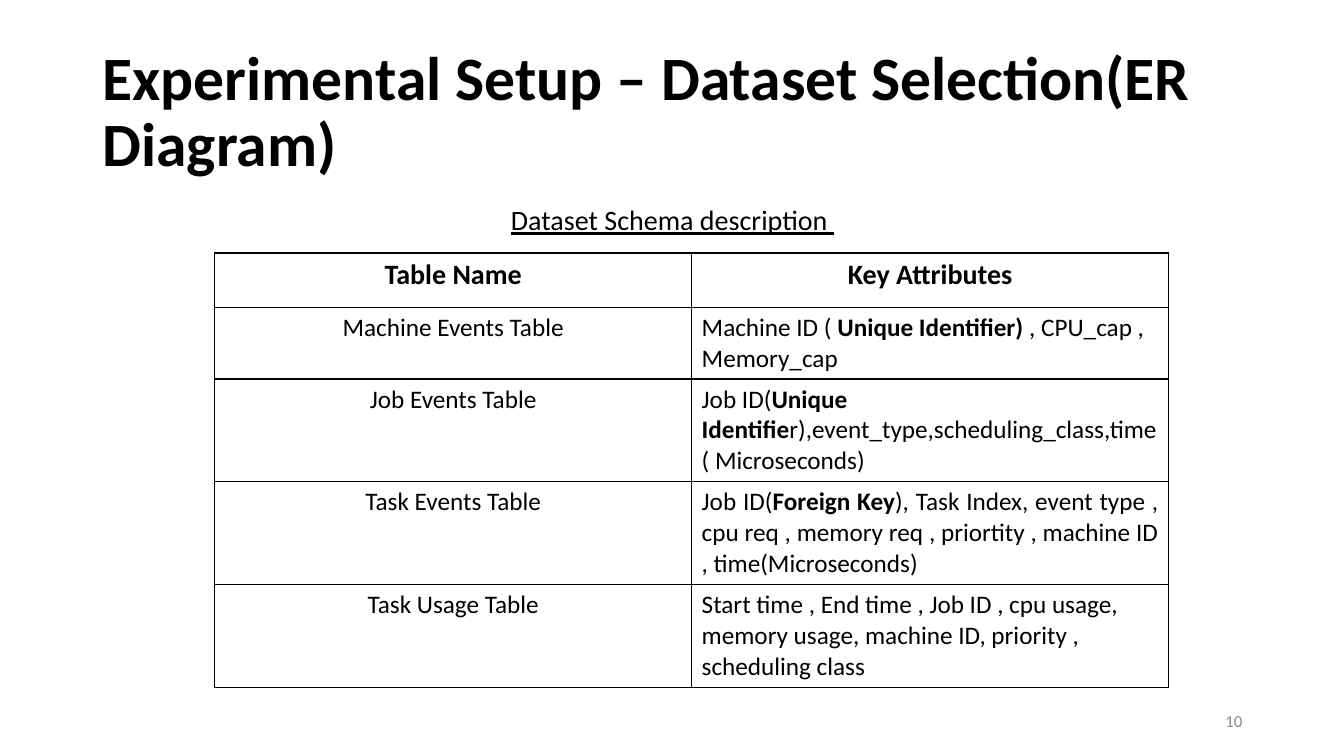
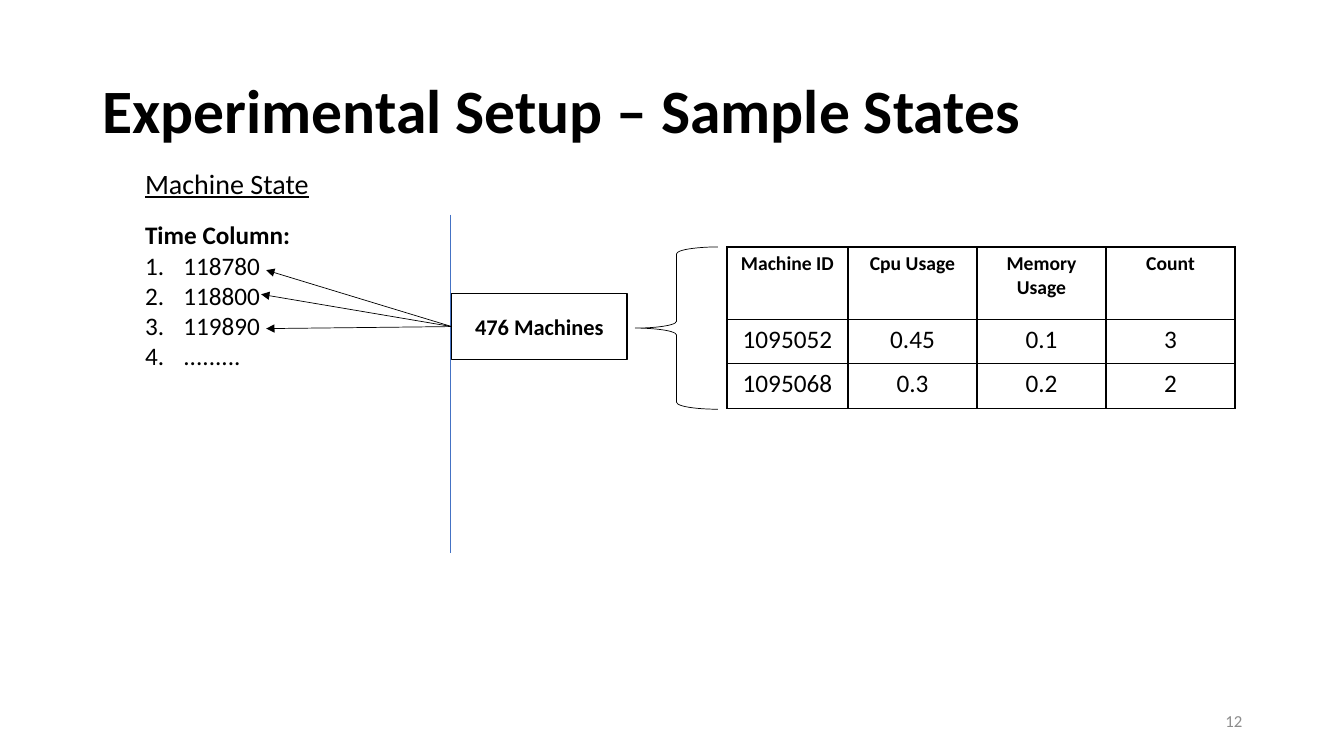
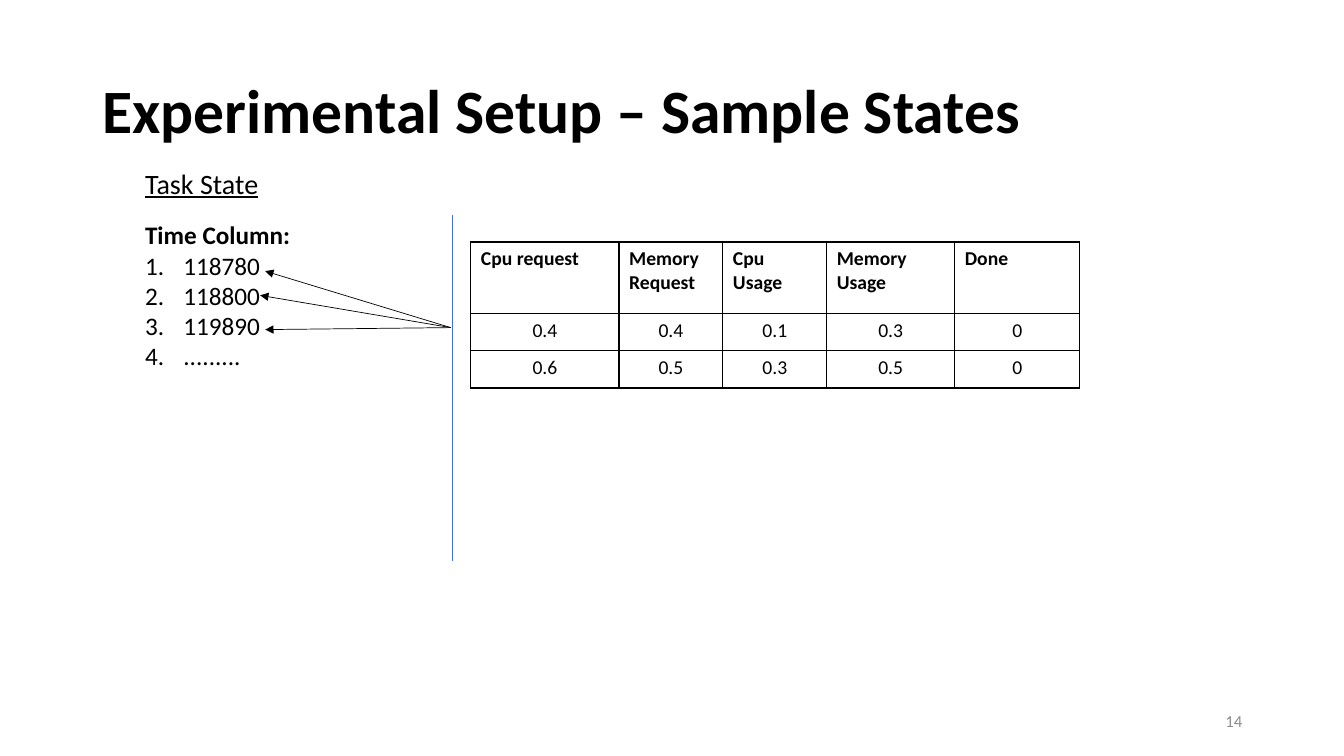
from lxml.etree import SubElement
from pptx import Presentation
from pptx.dml.color import RGBColor
from pptx.enum.shapes import MSO_CONNECTOR, MSO_SHAPE
from pptx.enum.text import MSO_ANCHOR, PP_ALIGN
from pptx.oxml import parse_xml
from pptx.oxml.ns import nsdecls, qn
from pptx.util import Inches, Pt

BLACK = RGBColor(0, 0, 0)
GRAY = RGBColor(0x8C, 0x8C, 0x8C)
BLUE = RGBColor(0x44, 0x72, 0xC4)
FONT = "Calibri"
LEFT, CENTER, RIGHT, JUSTIFY = PP_ALIGN.LEFT, PP_ALIGN.CENTER, PP_ALIGN.RIGHT, PP_ALIGN.JUSTIFY

TIMES = ["118780", "118800", "119890", "........."]
ARROW_OFFSETS = [(-1.84, -0.56), (-1.89, -0.32), (-1.84, 0.02)]


class Deck:
    def __init__(self):
        self.presentation = Presentation()
        self.presentation.slide_width = Inches(13.33)
        self.presentation.slide_height = Inches(7.5)
        self.slide = None

    def add_slide(self, title, number):
        self.slide = self.presentation.slides.add_slide(self.presentation.slide_layouts[6])
        heading = self.text(0.92, 0.4, 11.5, 1.45, title, 44, bold=True, anchor=MSO_ANCHOR.MIDDLE)
        heading.paragraphs[0].line_spacing = 0.9
        self.text(9.42, 6.95, 3, 0.4, str(number), 12, color=GRAY, align=RIGHT,
                  anchor=MSO_ANCHOR.MIDDLE)

    def style(self, paragraph, size, bold=False, color=BLACK, align=LEFT, underline=None):
        paragraph.alignment = align
        for run in paragraph.runs:
            font = run.font
            font.name, font.size, font.bold, font.underline = FONT, Pt(size), bold, underline
            font.color.rgb = color

    def text(self, left, top, width, height, text, size, anchor=MSO_ANCHOR.TOP, **style):
        box = self.slide.shapes.add_textbox(Inches(left), Inches(top), Inches(width), Inches(height))
        text_frame = box.text_frame
        text_frame.word_wrap = True
        text_frame.vertical_anchor = anchor
        text_frame.text = text
        for paragraph in text_frame.paragraphs:
            self.style(paragraph, size, **style)
        return text_frame

    def numbered_list(self, left, top, width, height, heading, items):
        text_frame = self.text(left, top, width, height, "\n".join([heading, *items]), 18)
        self.style(text_frame.paragraphs[0], 18, bold=True)
        for paragraph in text_frame.paragraphs[1:]:
            properties = paragraph._p.get_or_add_pPr()
            properties.set("marL", str(Inches(0.38)))
            properties.set("indent", str(-Inches(0.38)))
            SubElement(properties, qn("a:buFont"), typeface="+mj-lt")
            SubElement(properties, qn("a:buAutoNum"), type="arabicPeriod")

    def shape(self, preset, left, top, width, height, line_width, text=""):
        shape = self.slide.shapes.add_shape(preset, Inches(left), Inches(top),
                                            Inches(width), Inches(height))
        shape.shadow.inherit = False
        shape.fill.background()
        shape.line.color.rgb = BLACK
        shape.line.width = Pt(line_width)
        if text:
            shape.text_frame.text = text
            shape.text_frame.vertical_anchor = MSO_ANCHOR.MIDDLE
            self.style(shape.text_frame.paragraphs[0], 16, bold=True, align=CENTER)
        return shape

    def line(self, start, end, color=BLACK, arrow=False):
        connector = self.slide.shapes.add_connector(
            MSO_CONNECTOR.STRAIGHT, *(Inches(value) for value in (*start, *end)))
        connector.line.color.rgb = color
        connector.line.width = Pt(0.5)
        if arrow:
            SubElement(connector.line._get_or_add_ln(), qn("a:tailEnd"), type="triangle")
        SubElement(connector._element.spPr, qn("a:effectLst"))
        return connector

    def table(self, left, top, columns, heights, rows, header_size, body_size,
              header_align=CENTER, body_aligns=None):
        frame = self.slide.shapes.add_table(
            len(heights), len(columns), Inches(left), Inches(top),
            Inches(sum(columns)), Inches(sum(heights)))
        table = frame.table
        table.first_row = table.horz_banding = False
        for column, width in zip(table.columns, columns):
            column.width = Inches(width)
        for row_index, (row, height, values) in enumerate(zip(table.rows, heights, rows)):
            row.height = Inches(height)
            for column_index, (cell, value) in enumerate(zip(row.cells, values)):
                if row_index == 0:
                    self.cell(cell, value, header_size, header_align, True)
                else:
                    align = body_aligns[row_index - 1][column_index] if body_aligns else CENTER
                    self.cell(cell, value, body_size, align, False)

    def cell(self, cell, value, size, align, bold):
        paragraph = cell.text_frame.paragraphs[0]
        parts = value.split("**")
        for part in parts:
            paragraph.add_run().text = part
        self.style(paragraph, size, bold=bold, align=align)
        for run in paragraph.runs[1::2]:
            run.font.bold = True
        cell.fill.background()
        properties = cell._tc.get_or_add_tcPr()
        for position, side in enumerate(("lnL", "lnR", "lnT", "lnB")):
            properties.insert(position, parse_xml(
                f'<a:{side} {nsdecls("a")} w="{Pt(1)}"><a:solidFill>'
                f'<a:srgbClr val="{BLACK}"/></a:solidFill></a:{side}>'))

    def time_state(self, name, name_width, divider_x, divider_bottom, origin, source=None):
        self.text(1.34, 1.6, name_width, 0.44, name, 20, underline=True)
        self.numbered_list(1.34, 2.13, 1.78, 1.62, "Time Column:", TIMES)
        self.line((divider_x, 2.13), (divider_x, divider_bottom), BLUE)
        for offset_x, offset_y in ARROW_OFFSETS:
            arrow = self.line(origin, (origin[0] + offset_x, origin[1] + offset_y), arrow=True)
            if source is not None:
                arrow.begin_connect(source, 1)


def dataset_slide(deck):
    deck.add_slide("Experimental Setup – Dataset Selection(ER Diagram)", 10)
    caption = deck.text(0.92, 2, 11.5, 0.45, "Dataset Schema description ", 20,
                        align=CENTER, underline=True)
    caption.paragraphs[0].line_spacing = 0.9
    rows = [
        ("Table Name", "Key Attributes"),
        ("Machine Events Table",
         "Machine ID ( **Unique Identifier) **, CPU_cap , Memory_cap"),
        ("Job Events Table",
         "Job ID(**Unique Identifie**r),event_type,scheduling_class,time( Microseconds)"),
        ("Task Events Table",
         "Job ID(**Foreign Key**), Task Index, event type , cpu req , memory req , "
         "priortity , machine ID , time(Microseconds)"),
        ("Task Usage Table",
         "Start time , End time , Job ID , cpu usage, memory usage, machine ID, "
         "priority , scheduling class"),
    ]
    aligns = [(CENTER, LEFT), (CENTER, LEFT), (CENTER, JUSTIFY), (CENTER, LEFT)]
    deck.table(2.13, 2.51, [4.73] * 2, [0.54, 0.71, 1.02, 1.02, 1.02], rows, 20, 18,
               body_aligns=aligns)


def machine_slide(deck):
    deck.add_slide("Experimental Setup – Sample States", 12)
    machines = deck.shape(MSO_SHAPE.RECTANGLE, 4.48, 2.91, 1.74, 0.66, 1, "476 Machines")
    deck.shape(MSO_SHAPE.LEFT_BRACE, 6.3, 2.45, 0.82, 1.61, 0.5)
    deck.time_state("Machine State", 7.34, 4.47, 5.49, (4.48, 3.24), machines)
    rows = [
        ("Machine ID", "Cpu Usage", "Memory Usage", "Count"),
        ("1095052", "0.45", "0.1", "3"),
        ("1095068", "0.3", "0.2", "2"),
    ]
    deck.table(7.21, 2.45, [1.2] + [1.28] * 3, [0.72, 0.44, 0.44], rows, 14, 18)


def task_slide(deck):
    deck.add_slide("Experimental Setup – Sample States", 14)
    deck.time_state("Task State", 1.78, 4.49, 5.57, (4.47, 3.25))
    rows = [
        ("Cpu request", "Memory Request", "Cpu Usage", "Memory Usage", "Done"),
        ("0.4", "0.4", "0.1", "0.3", "0"),
        ("0.6", "0.5", "0.3", "0.5", "0"),
    ]
    deck.table(4.67, 2.4, [1.47, 1.03, 1.03, 1.27, 1.24], [0.71, 0.37, 0.37], rows, 14, 14,
               header_align=LEFT)


def main():
    deck = Deck()
    dataset_slide(deck)
    machine_slide(deck)
    task_slide(deck)
    deck.presentation.save("out.pptx")


if __name__ == "__main__":
    main()
